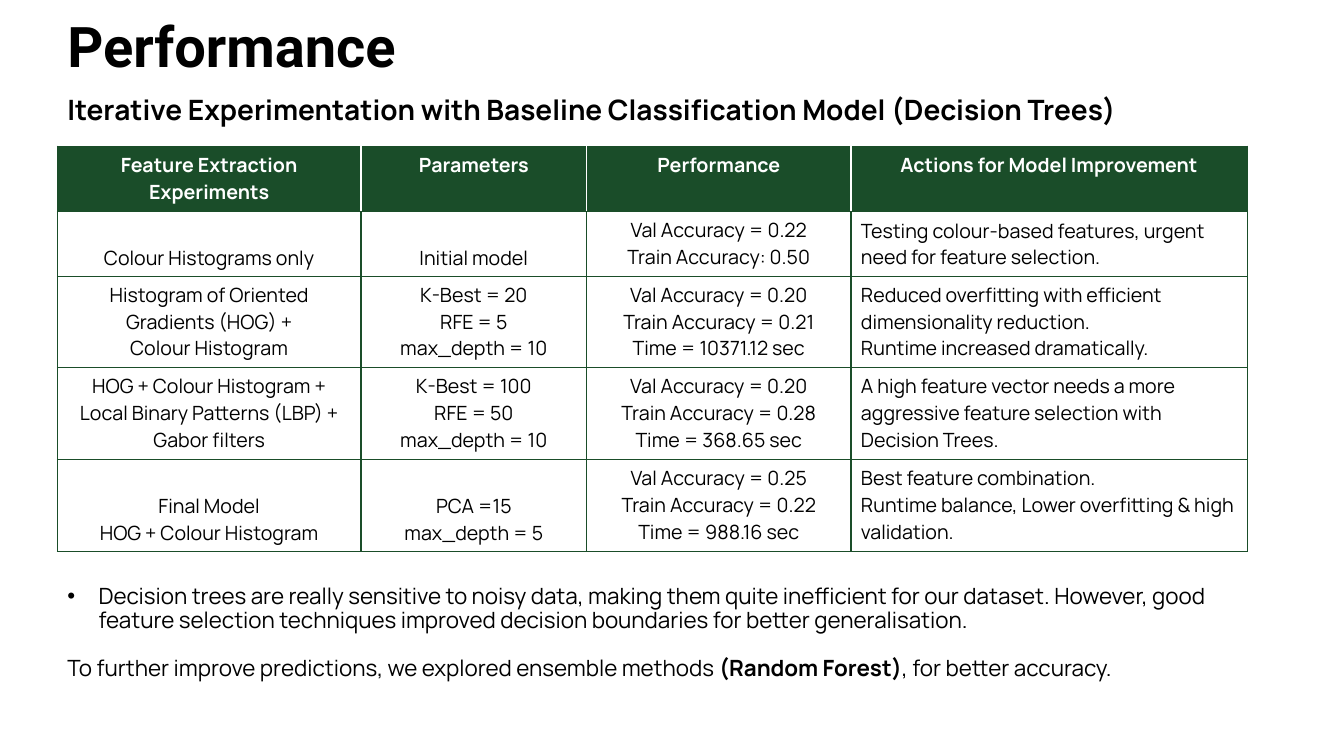
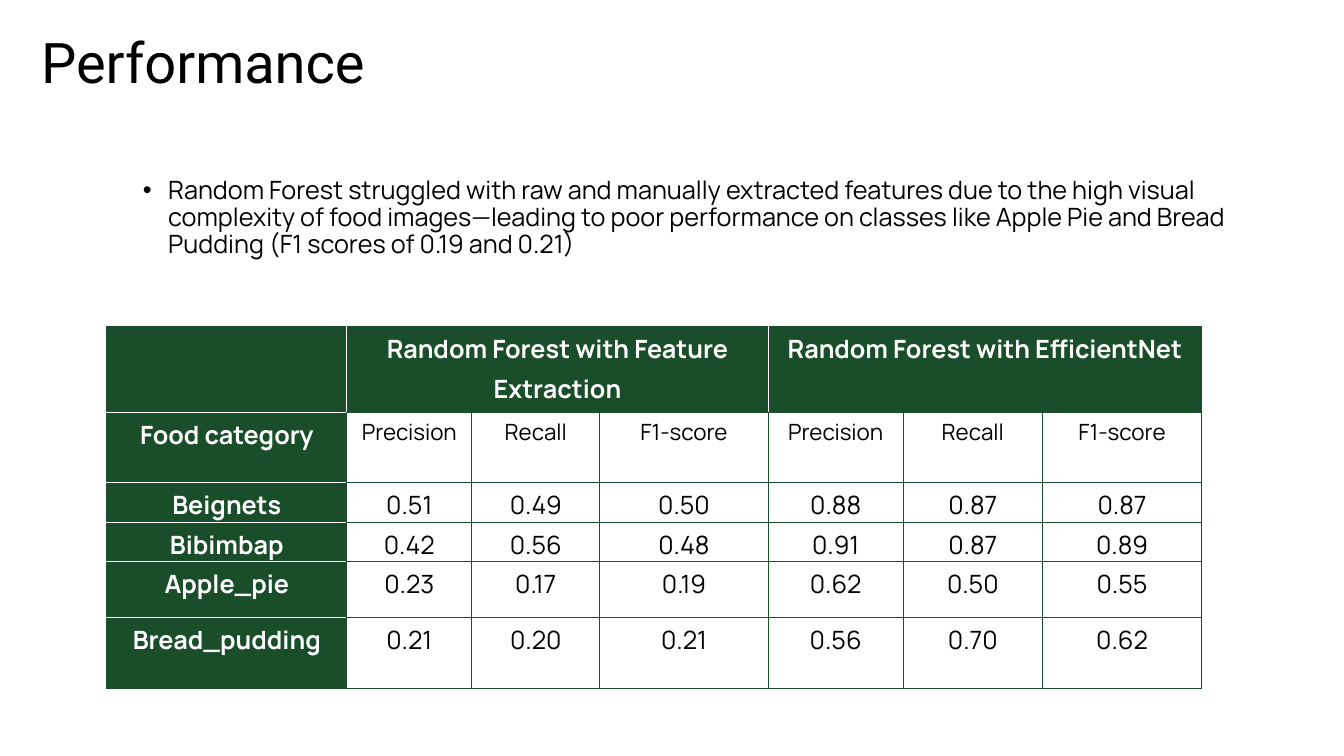
from lxml import etree
from pptx import Presentation
from pptx.dml.color import RGBColor
from pptx.enum.shapes import MSO_SHAPE
from pptx.enum.text import MSO_ANCHOR, PP_ALIGN
from pptx.oxml.ns import qn
from pptx.util import Pt

EMU_PER_PX = 9144
RECTANGLE = MSO_SHAPE.RECTANGLE
TOP, MIDDLE, BOTTOM = MSO_ANCHOR.TOP, MSO_ANCHOR.MIDDLE, MSO_ANCHOR.BOTTOM
LEFT, CENTER = PP_ALIGN.LEFT, PP_ALIGN.CENTER
GREEN, WHITE, BLACK = "1A4D29", "FFFFFF", "000000"
TITLE_FONT, BODY_FONT = "Roboto", "Manrope"


def px(length):
    """Turn px into EMU."""
    return length * EMU_PER_PX


def color(value):
    """Turn a hex string into a colour."""
    return RGBColor.from_string(value)


def write_text(frame, text, size=14, font=BODY_FONT, fill=BLACK, bold=False,
               align=LEFT, spacing=1.0, gap=0, after=0, indent=0):
    """Write one paragraph per line; ** marks bold runs, a leading • a bullet."""
    frame.word_wrap = True
    for index, line in enumerate(text.split("\n")):
        paragraph = frame.paragraphs[0] if index == 0 else frame.add_paragraph()
        if line.startswith("•"):
            line = line[1:]
            properties = paragraph._p.get_or_add_pPr()
            properties.set("marL", str(px(indent)))
            properties.set("indent", str(-px(indent)))
            bullet_font = etree.SubElement(properties, qn("a:buFont"))
            bullet_font.set("typeface", "Arial")
            etree.SubElement(properties, qn("a:buChar")).set("char", "•")
        paragraph.alignment = align
        paragraph.line_spacing = spacing
        paragraph.space_before = Pt(gap if index else 0)
        paragraph.space_after = Pt(after)
        for part, words in enumerate(line.split("**")):
            run = paragraph.add_run()
            run.text = words
            run.font.size = Pt(size)
            run.font.name = font
            run.font.bold = bold or part % 2 == 1
            run.font.color.rgb = color(fill)


def set_border(cell, side, value):
    """Draw one side of a cell as a 1 pt line."""
    properties = cell._tc.get_or_add_tcPr()
    line = etree.SubElement(properties, qn(f"a:ln{side}"), w=str(Pt(1)))
    solid = etree.SubElement(line, qn("a:solidFill"))
    etree.SubElement(solid, qn("a:srgbClr"), val=value)


class Deck:
    """Holds the style and the current slide."""

    def __init__(self):
        """Start a widescreen presentation."""
        self.presentation = Presentation()
        self.presentation.slide_width = px(1333)
        self.presentation.slide_height = px(750)
        self.slide = None

    def add_slide(self):
        """Add a blank slide and make it current."""
        self.slide = self.presentation.slides.add_slide(self.presentation.slide_layouts[6])

    def title(self, text, left, top, bold=False):
        """Add the title on its white rectangle."""
        shape = self.slide.shapes.add_shape(RECTANGLE, px(left), px(top), px(456), px(68))
        shape.shadow.inherit = False
        shape.fill.solid()
        shape.fill.fore_color.rgb = color(WHITE)
        shape.line.fill.background()
        shape.text_frame.vertical_anchor = TOP
        write_text(shape.text_frame, text, size=40, font=TITLE_FONT, bold=bold, spacing=0.9)

    def text(self, text, left, top, width, height, anchor=TOP, **text_format):
        """Add a text box."""
        box = self.slide.shapes.add_textbox(px(left), px(top), px(width), px(height))
        box.text_frame.vertical_anchor = anchor
        write_text(box.text_frame, text, spacing=0.9, **text_format)

    def table(self, rows, left, top, widths, heights, header_column=False, spans=(),
              margins=(10, 5), header_size=14, body_format=None, **text_format):
        """Add a table with green headers; body_format picks a format by row and column."""
        table = self.slide.shapes.add_table(
            len(rows), len(widths), px(left), px(top), px(sum(widths)), px(sum(heights))).table
        table.first_row = table.horz_banding = False
        for column, width in zip(table.columns, widths):
            column.width = px(width)
        for row, height in zip(table.rows, heights):
            row.height = px(height)
        for first, last in spans:
            table.cell(0, first).merge(table.cell(0, last))

        def is_header(row, column):
            """Tell whether a cell of the grid is a header."""
            return (0 <= row < len(rows) and 0 <= column < len(widths)
                    and (row == 0 or (header_column and column == 0)))

        for r, values in enumerate(rows):
            for c, value in enumerate(values):
                cell = table.cell(r, c)
                header = is_header(r, c)
                cell.margin_left = cell.margin_right = px(margins[0])
                cell.margin_top = cell.margin_bottom = px(margins[1])
                width = cell.span_width if cell.is_merge_origin else 1
                neighbours = {"L": (r, c - 1), "R": (r, c + width),
                              "T": (r - 1, c), "B": (r + 1, c)}
                for side, place in neighbours.items():
                    set_border(cell, side, WHITE if header and is_header(*place) else GREEN)
                if header:
                    cell.fill.solid()
                    cell.fill.fore_color.rgb = color(GREEN)
                    style = {"size": header_size, "fill": WHITE, "bold": True, "align": CENTER}
                else:
                    cell.fill.background()
                    style = body_format(r, c)
                    cell.vertical_anchor = style.pop("anchor", TOP)
                if value:
                    write_text(cell.text_frame, value, **{**text_format, **style})


def experiment_format(row, column):
    """Centre all but the last column and seat short entries at the bottom."""
    if column == 3:
        return {"align": LEFT, "anchor": MIDDLE if row == 1 else TOP}
    return {"align": CENTER, "anchor": BOTTOM if row in (1, 4) and column < 2 else TOP}


def score_format(row, column):
    """Centre the scores under smaller measure names."""
    return {"align": CENTER, "size": 16 if row == 1 else 18}


EXPERIMENTS = [
    ["Feature Extraction Experiments", "Parameters", "Performance",
     "Actions for Model Improvement"],
    ["Colour Histograms only", "Initial model", "Val Accuracy = 0.22\nTrain Accuracy: 0.50",
     "Testing colour-based features, urgent need for feature selection."],
    ["Histogram of Oriented Gradients (HOG) +\nColour Histogram",
     "K-Best = 20\nRFE = 5\nmax_depth = 10",
     "Val Accuracy = 0.20\nTrain Accuracy = 0.21\nTime = 10371.12 sec",
     "Reduced overfitting with efficient dimensionality reduction.\n"
     "Runtime increased dramatically."],
    ["HOG + Colour Histogram + Local Binary Patterns (LBP) + Gabor filters",
     "K-Best = 100\nRFE = 50\nmax_depth = 10",
     "Val Accuracy = 0.20\nTrain Accuracy = 0.28\nTime = 368.65 sec",
     "A high feature vector needs a more aggressive feature selection with Decision Trees."],
    ["Final Model\nHOG + Colour Histogram", "PCA =15\nmax_depth = 5",
     "Val Accuracy = 0.25\nTrain Accuracy = 0.22\nTime = 988.16 sec",
     "Best feature combination.\nRuntime balance, Lower overfitting & high validation."],
]
MEASURES = ["Precision", "Recall", "F1-score"]
SCORES = [
    ["", "Random Forest with Feature Extraction", "", "",
     "Random Forest with EfficientNet", "", ""],
    ["Food category", *MEASURES, *MEASURES],
    ["Beignets", "0.51", "0.49", "0.50", "0.88", "0.87", "0.87"],
    ["Bibimbap", "0.42", "0.56", "0.48", "0.91", "0.87", "0.89"],
    ["Apple_pie", "0.23", "0.17", "0.19", "0.62", "0.50", "0.55"],
    ["Bread_pudding", "0.21", "0.20", "0.21", "0.56", "0.70", "0.62"],
]


def main():
    """Build and save the slides."""
    deck = Deck()

    deck.add_slide()
    deck.title("Performance", 57, 14, bold=True)
    deck.text("Iterative Experimentation with Baseline Classification Model (Decision Trees)",
              57, 91, 1220, 40, anchor=MIDDLE, size=20, bold=True)
    deck.table(EXPERIMENTS, 57, 145, [301, 224, 262, 393], [65, 64, 91, 91, 91],
               body_format=experiment_format)
    deck.text("•Decision trees are really sensitive to noisy data, making them quite "
              "inefficient for our dataset. However, good feature selection techniques "
              "improved decision boundaries for better generalisation.\n"
              "To further improve predictions, we explored ensemble methods "
              "**(Random Forest)**, for better accuracy.",
              57, 559, 1181, 139, anchor=MIDDLE, size=16, gap=17, indent=31)

    deck.add_slide()
    deck.title("Performance", 31, 30)
    deck.text("•Random Forest struggled with raw and manually extracted features due to the "
              "high visual complexity of food images—leading to poor performance on classes "
              "like Apple Pie and Bread Pudding (F1 scores of 0.19 and 0.21)",
              132, 171, 1127, 110, size=18, indent=25)
    deck.table(SCORES, 106, 324, [238, 124, 127, 167, 134, 138, 158],
               [85, 70, 39, 39, 56, 70], header_column=True, spans=[(1, 3), (4, 6)],
               margins=(7, 0), header_size=18, body_format=score_format,
               spacing=1.15, after=8)

    deck.presentation.save("out.pptx")


if __name__ == "__main__":
    main()
